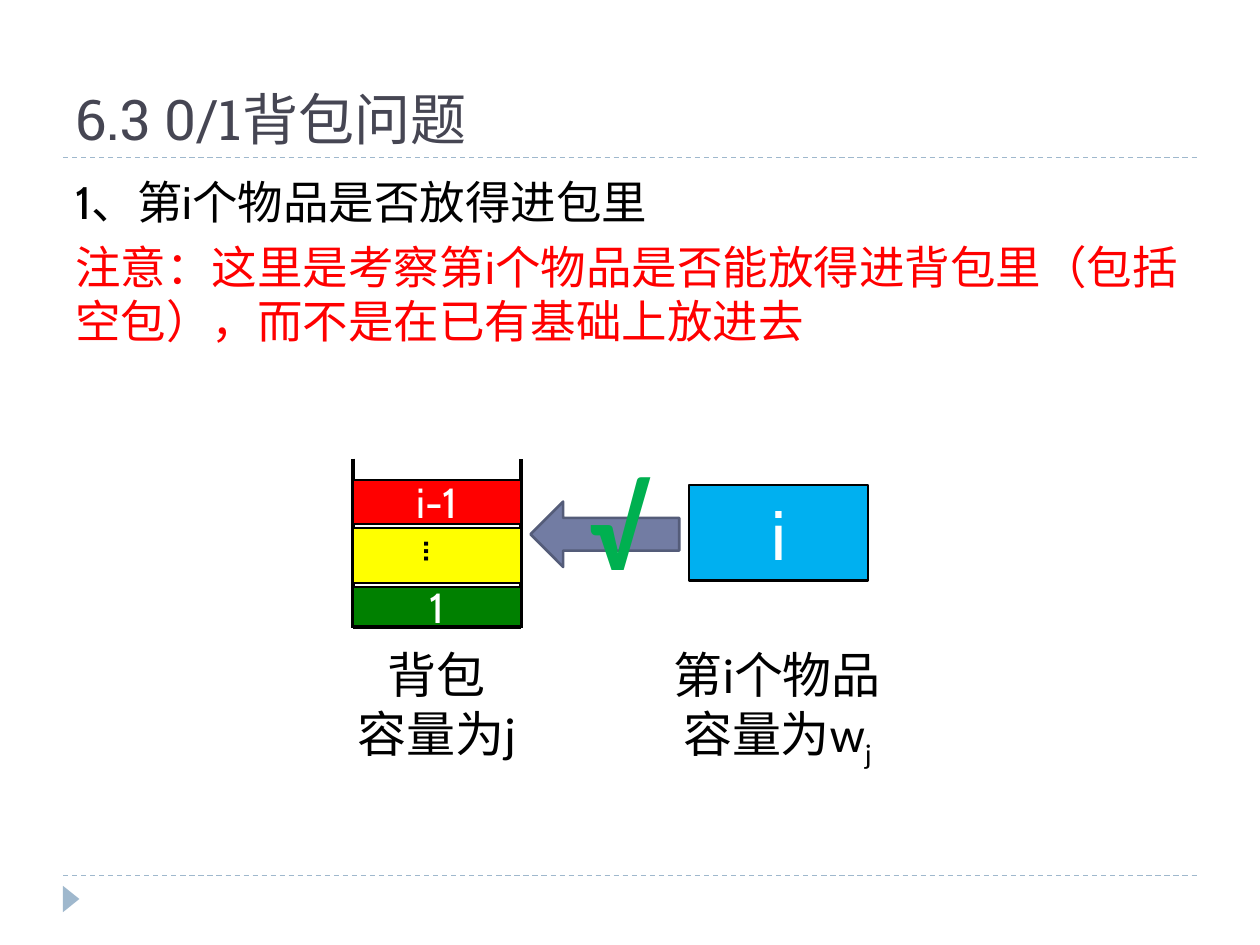
"""Build the slide on whether item i fits into the 0/1 knapsack."""
import dataclasses
import typing

import pptx
import pptx.dml.color
import pptx.enum.dml
import pptx.enum.shapes
import pptx.enum.text
import pptx.oxml
import pptx.oxml.ns
import pptx.util

Pt = pptx.util.Pt
SHAPES = pptx.enum.shapes.MSO_SHAPE
ALIGN = pptx.enum.text.PP_ALIGN
ANCHOR = pptx.enum.text.MSO_ANCHOR
COLORS = {
    "title": "464653", "black": "000000", "white": "FFFFFF", "red": "FF0000",
    "yellow": "FFFF00", "green": "008000", "blue": "00B0F0", "check": "00B050",
    "rule": "9FB8CD", "arrow": "727CA3", "arrow_edge": "545C79",
}


@dataclasses.dataclass
class Run:
    text: str
    color: str = "black"
    baseline: int = 0


@dataclasses.dataclass
class Text:
    paragraphs: list[list[Run]]
    font: dict[str, typing.Any]
    layout: dict[str, typing.Any] = dataclasses.field(default_factory=dict)
    frame: dict[str, typing.Any] = dataclasses.field(default_factory=dict)
    vertical: str = "horz"


@dataclasses.dataclass
class Block:
    box: tuple[float, float, float, float]
    fill: str
    kind: typing.Any = SHAPES.RECTANGLE
    edge: str | None = "black"
    rotation: float = 0
    text: Text | None = None


@dataclasses.dataclass
class Line:
    start: tuple[float, float]
    end: tuple[float, float]
    color: str = "black"
    width: float = 2.25
    dashed: bool = False


def rgb(name: str) -> pptx.dml.color.RGBColor:
    return pptx.dml.color.RGBColor.from_string(COLORS[name])


def apply(target: typing.Any, values: dict[str, typing.Any]) -> None:
    for name, value in values.items():
        setattr(target, name, value)


def write_text(frame: typing.Any, text: Text) -> None:
    apply(frame, {"word_wrap": True, **text.frame})
    frame._txBody.bodyPr.set("vert", text.vertical)
    for index, runs in enumerate(text.paragraphs):
        paragraph = frame.add_paragraph() if index else frame.paragraphs[0]
        apply(paragraph, text.layout)
        for item in runs:
            run = paragraph.add_run()
            run.text = item.text
            apply(run.font, text.font)
            run.font.color.rgb = rgb(item.color)
            if item.baseline:
                run.font._element.set("baseline", str(item.baseline))


def draw_text(slide: typing.Any, box: tuple[float, ...], text: Text) -> None:
    write_text(slide.shapes.add_textbox(*map(Pt, box)).text_frame, text)


def draw_block(slide: typing.Any, block: Block) -> None:
    shape = slide.shapes.add_shape(block.kind, *map(Pt, block.box))
    shape.shadow.inherit = False
    shape.rotation = block.rotation
    shape.fill.solid()
    shape.fill.fore_color.rgb = rgb(block.fill)
    if block.edge:
        shape.line.color.rgb = rgb(block.edge)
        shape.line.width = Pt(1.5)
    else:
        shape.line.fill.background()
    if block.text:
        write_text(shape.text_frame, block.text)


def draw_line(slide: typing.Any, line: Line) -> None:
    connector = slide.shapes.add_connector(
        pptx.enum.shapes.MSO_CONNECTOR.STRAIGHT, *map(Pt, line.start + line.end))
    connector.line.color.rgb = rgb(line.color)
    connector.line.width = Pt(line.width)
    if line.dashed:
        connector.line.dash_style = pptx.enum.dml.MSO_LINE.DASH
    properties = connector._element.spPr
    properties.append(pptx.oxml.parse_xml(f"<a:effectLst {pptx.oxml.ns.nsdecls('a')}/>"))


def block_text(content: str, size: float, color: str = "white",
               bold: bool = False, vertical: str = "horz") -> Text:
    return Text([[Run(content, color)]], {"name": "Cabin", "size": Pt(size), "bold": bold},
                {"alignment": ALIGN.CENTER}, {"vertical_anchor": ANCHOR.MIDDLE}, vertical)


presentation = pptx.Presentation()
presentation.slide_width, presentation.slide_height = Pt(720), Pt(540)
slide = presentation.slides.add_slide(presentation.slide_layouts[6])

for y in (500.4, 90):
    draw_line(slide, Line((36, y), (684, y), "rule", 0.75, True))
draw_block(slide, Block((33.1, 509, 15.1, 9.4), "rule", SHAPES.ISOSCELES_TRIANGLE, None, 90))

draw_text(slide, (36, 12.2, 648, 77.8), Text(
    [[Run("6.3 0/1背包问题", "title")]], {"name": "Roboto Slab", "size": Pt(32)},
    frame={"vertical_anchor": ANCHOR.BOTTOM}))
draw_text(slide, (36, 95.8, 648, 388.8), Text(
    [[Run("1、第i个物品是否放得进包里")],
     [Run("注意：这里是考察第i个物品是否能放得进背包里（包括空包），而不是在已有基础上放进去", "red")]],
    {"name": "Cabin", "size": Pt(26)}, {"space_before": Pt(6)}))

LEFT, RIGHT, TOP, BOTTOM = 201.6, 297.7, 262.1, 358.6
sack_corners = [(LEFT, TOP), (LEFT, BOTTOM), (RIGHT, BOTTOM), (RIGHT, TOP)]
for start, end in zip(sack_corners, sack_corners[1:]):
    draw_line(slide, Line(start, end))

sack_items = [
    (335.5, 22.6, "green", block_text("1", 24)),
    (301.7, 31.4, "yellow", block_text("…", 18, "black", True, "eaVert")),
    (274.2, 25.2, "red", block_text("i-1", 24)),
]
for top, height, fill, text in sack_items:
    draw_block(slide, Block((LEFT, top, RIGHT - LEFT, height), fill, text=text))
draw_block(slide, Block((303.1, 286.6, 85, 37.4), "arrow", SHAPES.LEFT_ARROW, "arrow_edge"))
draw_block(slide, Block((393.8, 277.2, 102.2, 54.7), "blue", text=block_text("i", 40)))

draw_text(slide, (329, 256.3, 47.5, 87.1), Text(
    [[Run("√", "check")]], {"name": "Calibri", "size": Pt(66), "bold": True},
    frame={"word_wrap": False}))

captions = [
    (196.6, 105.8, [[Run("背包")], [Run("容量为j")]]),
    (377.3, 133.9, [[Run("第i个物品")], [Run("容量为w"), Run("j", baseline=-25000)]]),
]
for left, width, paragraphs in captions:
    draw_text(slide, (left, 365, width, 74.9), Text(
        paragraphs, {"name": "Calibri", "size": Pt(28)}, {"alignment": ALIGN.CENTER}))

presentation.save("out.pptx")
